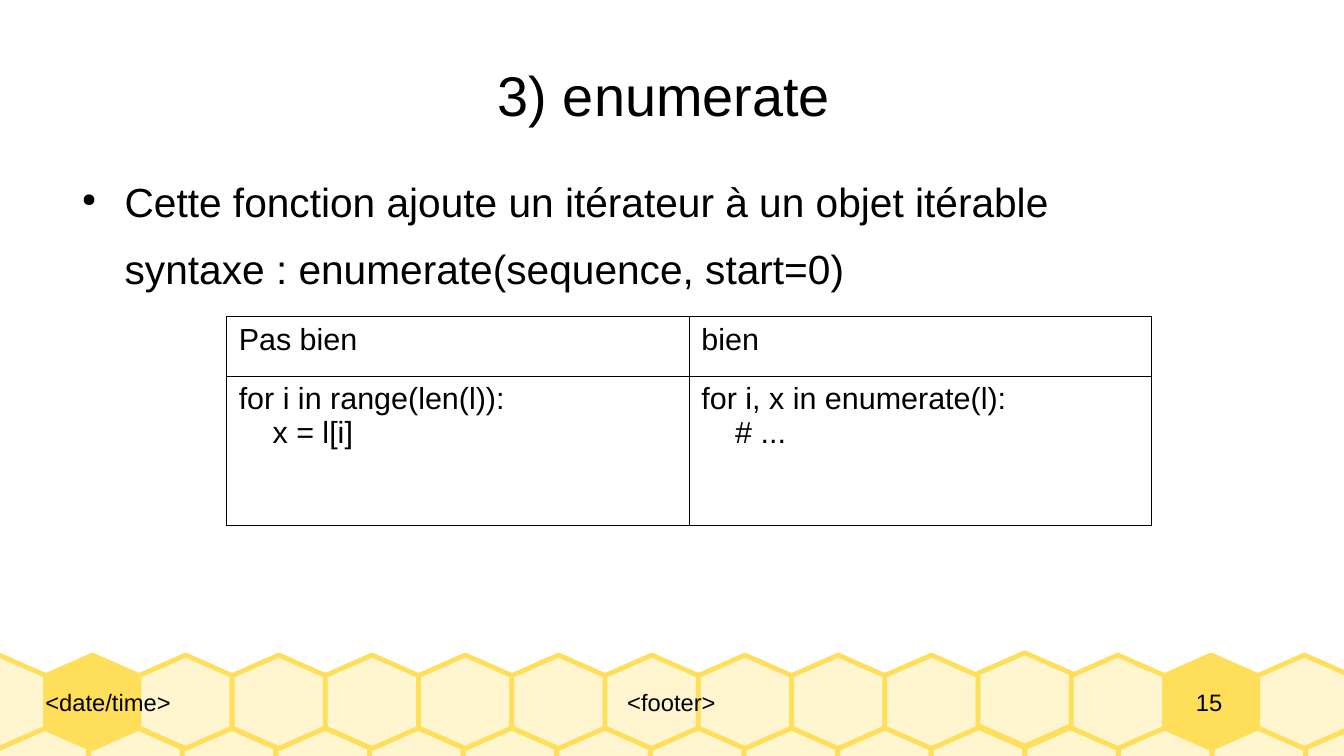
from dataclasses import dataclass

from lxml.etree import SubElement
from pptx import Presentation
from pptx.dml.color import RGBColor
from pptx.enum.text import MSO_ANCHOR as Anchor, MSO_AUTO_SIZE as AutoSize, PP_ALIGN as Align
from pptx.oxml.ns import qn
from pptx.slide import Slide
from pptx.table import _Cell as Cell
from pptx.text.text import TextFrame
from pptx.util import Pt

BLACK = RGBColor(0x00, 0x00, 0x00)
HONEY = RGBColor(0xFF, 0xDE, 0x59)
CREAM = RGBColor(0xFF, 0xF5, 0xCE)
FONT = "Arial"

HEX_SIZE = 55.2
HEX_CORNERS = ((0.5, 0), (0, 0.22), (0, 0.78), (0.5, 1), (1, 0.78), (1, 0.22))
HEXES_PER_ROW = 15


@dataclass(frozen=True)
class HexRow:
    left: float
    top: float
    pitch: float
    filled: tuple[int, ...] = ()
    raised: tuple[int, ...] = ()


@dataclass(frozen=True)
class FooterField:
    text: str
    left: float
    width: float
    align: Align


HEX_ROWS = (
    HexRow(left=-2.9, top=429.3, pitch=55.28),
    HexRow(left=-28.1, top=386.8, pitch=55.05, filled=(1, 13), raised=(11,)),
)
FOOTER_FIELDS = (
    FooterField("<date/time>", 26.8, 189.4, Align.LEFT),
    FooterField("<footer>", 216.2, 360.6, Align.CENTER),
    FooterField("15", 669, 90, Align.CENTER),
)
BODY_LINES = (
    "Cette fonction ajoute un itérateur à un objet itérable",
    "syntaxe\u00a0: enumerate(sequence, start=0)".replace("\u00a0", " "),
)
COMPARISON = (
    (("Pas bien",), ("bien",)),
    (
        ("for i in range(len(l)):", "    x = l[i]"),
        ("for i, x in enumerate(l):", "    # ..."),
    ),
)


def write(frame: TextFrame, *lines: str, size: float, align: Align = Align.LEFT,
          anchor: Anchor = Anchor.TOP, space_after: float = 0,
          indent: float = 0, bullet: str = "") -> None:
    """Fill a frame with one paragraph per line; the bullet marks the first."""
    frame.word_wrap = True
    frame.auto_size = AutoSize.NONE
    frame.vertical_anchor = anchor
    frame.margin_left = frame.margin_right = frame.margin_top = frame.margin_bottom = 0
    write_lines(frame, lines, size, align, space_after, indent, bullet)


def write_lines(frame: TextFrame, lines: tuple[str, ...], size: float,
                align: Align = Align.LEFT, space_after: float = 0,
                indent: float = 0, bullet: str = "") -> None:
    for number, line in enumerate(lines):
        paragraph = frame.paragraphs[0] if number == 0 else frame.add_paragraph()
        paragraph.alignment = align
        paragraph.space_after = Pt(space_after)
        if indent:
            properties = paragraph._p.get_or_add_pPr()
            properties.set("marL", str(Pt(indent)))
            properties.set("indent", str(Pt(-25.2 if bullet and number == 0 else 0)))
            if bullet and number == 0:
                SubElement(properties, qn("a:buSzPct"), val="45000")
                SubElement(properties, qn("a:buChar"), char=bullet)
            else:
                SubElement(properties, qn("a:buNone"))
        run = paragraph.add_run()
        run.text = line
        run.font.name = FONT
        run.font.size = Pt(size)
        run.font.color.rgb = BLACK


def draw_hexagon(slide: Slide, left: float, top: float, fill: RGBColor) -> None:
    corners = [(Pt(left + x * HEX_SIZE), Pt(top + y * HEX_SIZE)) for x, y in HEX_CORNERS]
    outline = slide.shapes.build_freeform(*corners[0], scale=1.0)
    outline.add_line_segments(corners[1:], close=True)
    hexagon = outline.convert_to_shape()
    hexagon.shadow.inherit = False
    hexagon.fill.solid()
    hexagon.fill.fore_color.rgb = fill
    hexagon.line.color.rgb = HONEY
    hexagon.line.width = Pt(2.83)


def draw_hex_row(slide: Slide, row: HexRow) -> None:
    for column in range(HEXES_PER_ROW):
        top = row.top - (1.4 if column in row.raised else 0)
        fill = HONEY if column in row.filled else CREAM
        draw_hexagon(slide, row.left + column * row.pitch, top, fill)


def draw_footer_field(slide: Slide, field: FooterField) -> None:
    box = slide.shapes.add_textbox(Pt(field.left), Pt(386.8), Pt(field.width), Pt(HEX_SIZE))
    write(box.text_frame, field.text, size=14, align=field.align, anchor=Anchor.MIDDLE)


def format_cell(cell: Cell, lines: tuple[str, ...]) -> None:
    cell.margin_left = cell.margin_right = Pt(7.2)
    cell.margin_top = cell.margin_bottom = Pt(3.6)
    write_lines(cell.text_frame, lines, size=18)
    properties = cell._tc.get_or_add_tcPr()
    for side in ("a:lnL", "a:lnR", "a:lnT", "a:lnB"):
        border = SubElement(properties, qn(side), w=str(Pt(0.57)))
        color = SubElement(SubElement(border, qn("a:solidFill")), qn("a:srgbClr"))
        color.set("val", str(BLACK))
    cell.fill.background()


def draw_comparison(slide: Slide) -> None:
    table = slide.shapes.add_table(2, 2, Pt(133.8), Pt(187.1), Pt(546.4), Pt(123.2)).table
    table.first_row = table.horz_banding = False
    for row, height in zip(table.rows, (35, 88.2)):
        row.height = Pt(height)
    for column in table.columns:
        column.width = Pt(273.2)
    for row, texts in zip(table.rows, COMPARISON):
        for cell, lines in zip(row.cells, texts):
            format_cell(cell, lines)


def main() -> None:
    deck = Presentation()
    deck.slide_width, deck.slide_height = Pt(793.6), Pt(446.4)
    slide = deck.slides.add_slide(deck.slide_layouts[5])

    # Honeycomb band and footer
    for row in HEX_ROWS:
        draw_hex_row(slide, row)
    for field in FOOTER_FIELDS:
        draw_footer_field(slide, field)

    # Title
    title = slide.shapes.title
    title.left, title.top, title.width, title.height = Pt(39.6), Pt(18), Pt(714.2), Pt(74.9)
    write(title.text_frame, "3) enumerate ", size=33, align=Align.CENTER, anchor=Anchor.MIDDLE)

    # Explanation
    explanation = slide.shapes.add_textbox(Pt(39.6), Pt(104.4), Pt(714.2), Pt(259.2))
    write(explanation.text_frame, *BODY_LINES, size=24, space_after=10.6, indent=34, bullet="●")

    # Comparison table
    draw_comparison(slide)

    deck.save("out.pptx")


if __name__ == "__main__":
    main()
